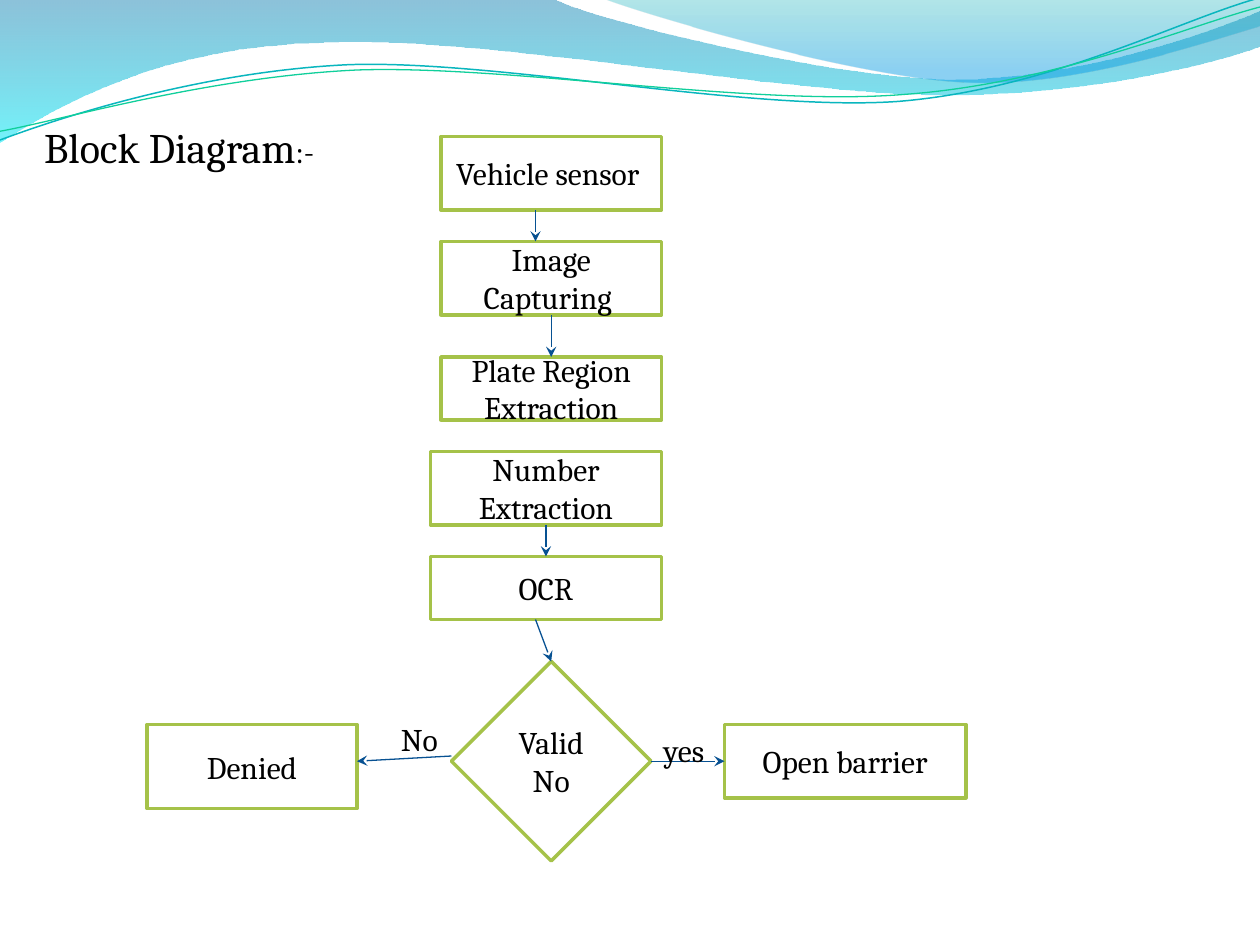
from lxml import etree
from pptx import Presentation
from pptx.dml.color import RGBColor
from pptx.enum import shapes, text
from pptx.oxml import ns
from pptx.util import Pt

WHITE = RGBColor(0xFF, 0xFF, 0xFF)
BLACK = RGBColor(0, 0, 0)
GREEN = RGBColor(0xA5, 0xC2, 0x49)
NAVY = RGBColor(0x07, 0x51, 0x92)
BLUE = RGBColor(0x00, 0x79, 0xAD)
CYAN = RGBColor(0x00, 0xE9, 0xF7)
TEAL = RGBColor(0x00, 0xAB, 0xB4)
SKY = RGBColor(0x00, 0x99, 0xE4)
AQUA = RGBColor(0x09, 0xB6, 0xBE)
MINT = RGBColor(0x10, 0xCF, 0x9B)

RECT = shapes.MSO_SHAPE.RECTANGLE
GEM = shapes.MSO_SHAPE.DIAMOND
FRAME = {
    "word_wrap": True,
    "auto_size": text.MSO_AUTO_SIZE.NONE,
    "margin_left": Pt(7.2),
    "margin_right": Pt(7.2),
    "margin_top": Pt(3.6),
    "margin_bottom": Pt(3.6),
}

BAND = [(0, 0), (317, -0.5), (343, 12, 478, 45, 546, 45), (614, 45, 690, 19, 720, 6),
        (720.5, 26), (708, 32, 626, 55, 537, 54), (448, 54, 275, 20, 185, 24),
        (92, 26, 33, 60, -0.5, 81.5)]
CREST = [(345, -0.5), (366, 8, 491, 45, 554, 47), (616, 49.5, 692, 23, 720, 15), (720, 0)]
UPPER = [(0, 80), (35, 67, 114, 41, 199, 37), (284, 34, 427, 64, 513, 58),
         (600, 51, 675, 11, 719, -1)]
LOWER = [(0, 75), (34, 69, 118, 44, 204, 40), (290, 37, 430, 61, 516, 54),
         (602, 48, 678, 15, 720, 4)]


def draw(slide, path, close):
    dots = [(Pt(x), Pt(y)) for part in path for x, y in zip(part[::2], part[1::2])]
    pen = slide.shapes.build_freeform(*dots[0])
    pen.add_line_segments(dots[1:], close=close)
    shape = pen.convert_to_shape()
    shape.shadow.inherit = False
    legs = iter(list(shape._element.iter(ns.qn("a:lnTo"))))
    for part in path[1:]:
        leg = next(legs)
        if len(part) == 6:
            bend = etree.Element(ns.qn("a:cubicBezTo"))
            leg.addprevious(bend)
            for old in (leg, next(legs), next(legs)):
                bend.append(old[0])
                old.getparent().remove(old)
    return shape


def wave(slide, path, stops):
    shape = draw(slide, path, True)
    shape.line.fill.background()
    shape.fill.gradient()
    shape.fill.gradient_angle = 270
    for stop, (spot, tint, _) in zip(shape.fill.gradient_stops, stops):
        stop.position = spot
        stop.color.rgb = tint
    tints = shape._element.spPr.iter(ns.qn("a:srgbClr"))
    for node, (_, _, part) in zip(list(tints), stops):
        etree.SubElement(node, ns.qn("a:alpha"), val=str(part * 1000))


def curve(slide, path, tint, width):
    shape = draw(slide, path, False)
    shape.fill.background()
    shape.line.color.rgb = tint
    shape.line.width = Pt(width)


def write(shape, runs, align, anchor):
    frame = shape.text_frame
    for key, value in FRAME.items():
        setattr(frame, key, value)
    frame.vertical_anchor = anchor
    para = frame.paragraphs[0]
    para.alignment = align
    for words, size in runs:
        run = para.add_run()
        run.text = words
        run.font.name = "Cambria"
        run.font.size = Pt(size)
        run.font.color.rgb = BLACK


def block(slide, words, x, y, w, h, kind=RECT):
    shape = slide.shapes.add_shape(kind, Pt(x), Pt(y), Pt(w), Pt(h))
    shape.shadow.inherit = False
    shape.fill.solid()
    shape.fill.fore_color.rgb = WHITE
    shape.line.color.rgb = GREEN
    shape.line.width = Pt(2)
    write(shape, [(words, 18)], text.PP_ALIGN.CENTER, text.MSO_ANCHOR.MIDDLE)
    return shape


def label(slide, words, x, y, w, h):
    shape = slide.shapes.add_textbox(Pt(x), Pt(y), Pt(w), Pt(h))
    write(shape, [(words, 18)], text.PP_ALIGN.LEFT, text.MSO_ANCHOR.TOP)


def head(slide, runs, x, y, w, h):
    shape = slide.shapes.title
    shape.left, shape.top, shape.width, shape.height = Pt(x), Pt(y), Pt(w), Pt(h)
    write(shape, runs, text.PP_ALIGN.LEFT, text.MSO_ANCHOR.TOP)


def arrow(slide, x, y, to_x, to_y, start=None, end=None):
    link = slide.shapes.add_connector(
        shapes.MSO_CONNECTOR.STRAIGHT, Pt(x), Pt(y), Pt(to_x), Pt(to_y))
    if start:
        link.begin_connect(*start)
    if end:
        link.end_connect(*end)
    link.line.color.rgb = NAVY
    link.line.width = Pt(0.75)
    etree.SubElement(link.line._get_or_add_ln(), ns.qn("a:tailEnd"), type="stealth")
    etree.SubElement(link._element.spPr, ns.qn("a:effectLst"))


def main():
    deck = Presentation()
    deck.slide_width, deck.slide_height = Pt(720), Pt(540)
    slide = deck.slides.add_slide(deck.slide_layouts[5])

    wave(slide, BAND, [(0, BLUE, 45), (1, CYAN, 55)])
    wave(slide, CREST, [(0, TEAL, 30), (0.8, SKY, 45)])
    curve(slide, UPPER, AQUA, 0.85)
    curve(slide, LOWER, MINT, 0.75)
    head(slide, [("Block Diagram", 24), (":-", 18)], 18, 66, 198, 36)

    block(slide, "Vehicle sensor ", 252, 78, 126, 42)
    image = block(slide, "Image Capturing ", 252, 138, 126, 42)
    plate = block(slide, "Plate Region Extraction", 252, 204, 126, 36)
    number = block(slide, "Number Extraction", 246, 258, 132, 42)
    ocr = block(slide, "OCR", 246, 318, 132, 36)
    valid = block(slide, "Valid No", 258, 378, 114, 114, GEM)
    gate = block(slide, "Open barrier", 414, 414, 138, 42)
    block(slide, "Denied", 84, 414, 120, 48)

    arrow(slide, 306, 120, 306, 138)
    arrow(slide, 315, 180, 315, 204, (image, 2), (plate, 0))
    arrow(slide, 312, 300, 312, 318, (number, 2), (ocr, 0))
    arrow(slide, 306, 354, 315, 378, end=(valid, 0))
    arrow(slide, 372, 435, 414, 435, (valid, 3), (gate, 1))
    arrow(slide, 258, 432, 204, 435)

    label(slide, "No", 222, 408, 36, 29)
    label(slide, "yes", 372, 414, 48, 29)
    deck.save("out.pptx")


if __name__ == "__main__":
    main()
